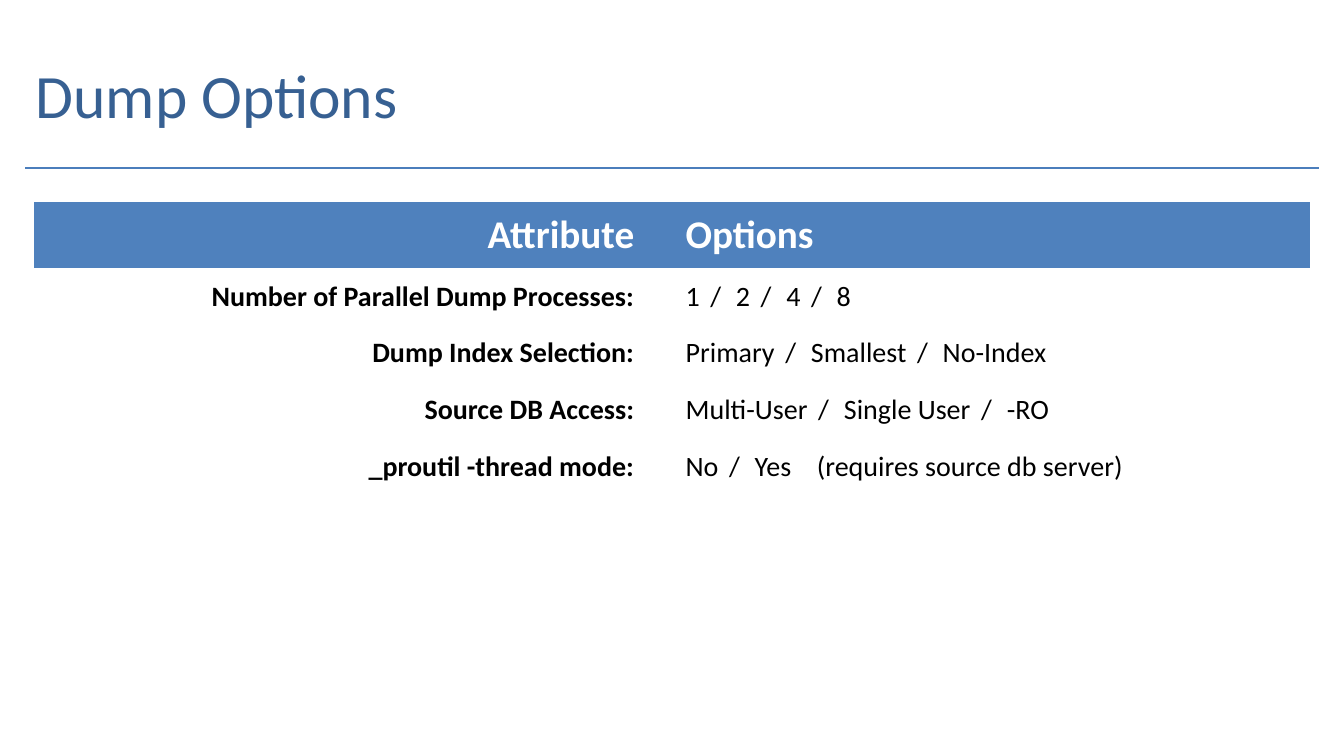
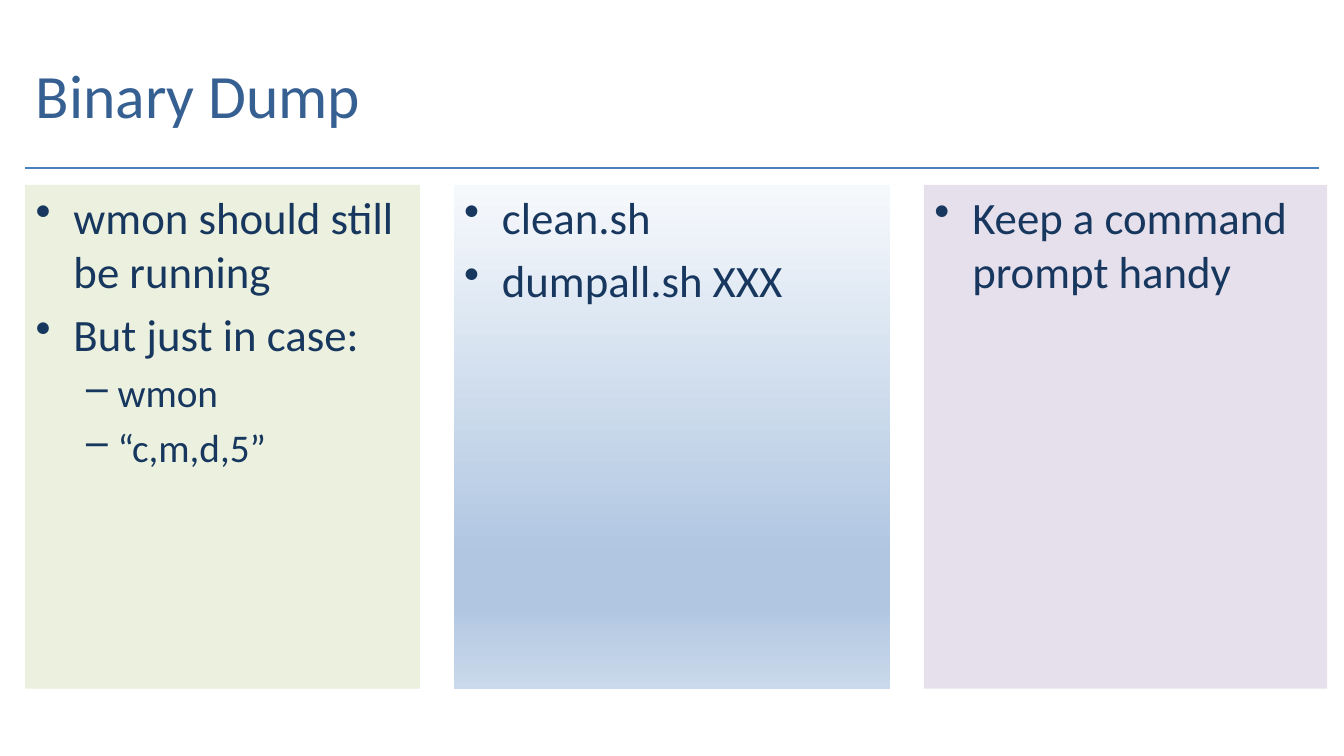
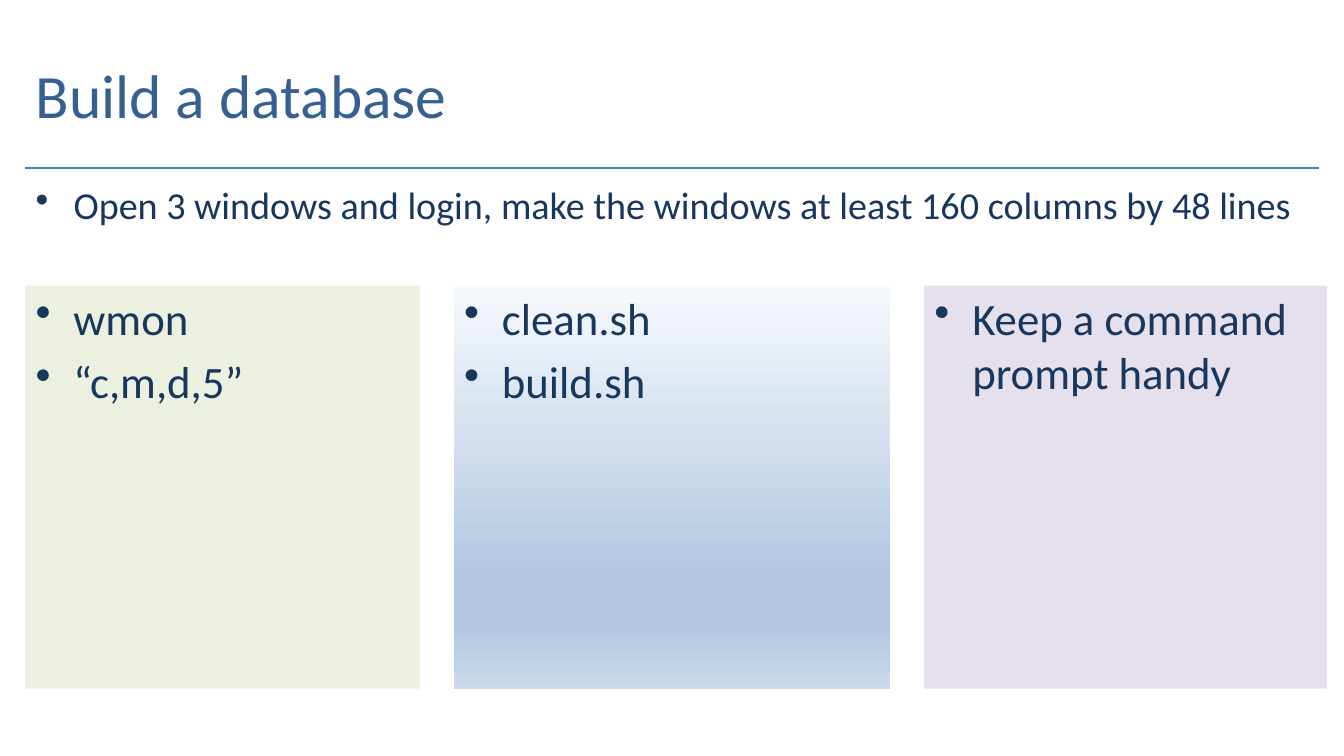
from lxml import etree
from pptx import Presentation
from pptx.dml.color import RGBColor
from pptx.enum.shapes import MSO_CONNECTOR, MSO_SHAPE
from pptx.enum.text import MSO_ANCHOR, MSO_AUTO_SIZE, PP_ALIGN
from pptx.oxml.ns import qn
from pptx.util import Emu, Pt

RECTANGLE, STRAIGHT = MSO_SHAPE.RECTANGLE, MSO_CONNECTOR.STRAIGHT
TOP, MIDDLE = MSO_ANCHOR.TOP, MSO_ANCHOR.MIDDLE
LEFT, RIGHT = PP_ALIGN.LEFT, PP_ALIGN.RIGHT
NO_AUTOFIT = MSO_AUTO_SIZE.NONE

EMU_PER_PX = 9525
TITLE_ONLY = 5
PLAIN_TABLE = "{2D5ABB26-0587-4C30-8999-92F81FD0307C}"

# Palette
TITLE_BLUE, TEXT_BLUE, RULE_BLUE, HEADER_BLUE = "376092", "17375E", "4B7EBC", "4F81BD"
WHITE, BLACK = "FFFFFF", "000000"
GREEN, PURPLE = "EBF1DE", "E6E0EC"
BLUE_FADE = [(0, "F6F9FC"), (74, "B0C6E1"), (83, "B0C6E1"), (100, "CAD9EB")]

# Window panels: left, width, fill
PANELS = [(24, 376, GREEN), (432, 416, BLUE_FADE), (880, 384, PURPLE)]
PANEL_BOTTOM = 656

# Bullet levels: sign, text indent, hanging indent
LEVELS = [("•", 36, -36), ("–", 78, -30)]


def px(length):
    return Emu(length * EMU_PER_PX)


def color(hex_code):
    return RGBColor.from_string(hex_code)


def apply(target, values):
    for name, value in values.items():
        setattr(target, name, value)


class Deck:
    font = "Calibri"
    frame_format = {
        "word_wrap": True, "auto_size": NO_AUTOFIT,
        "margin_left": px(10), "margin_right": px(10),
        "margin_top": px(5), "margin_bottom": px(5),
    }

    def __init__(self):
        self.prs = Presentation()
        apply(self.prs, {"slide_width": px(1280), "slide_height": px(720)})
        self.slide = None

    def start(self, title):
        """Add a slide with its title and the rule below it."""
        self.slide = self.prs.slides.add_slide(self.prs.slide_layouts[TITLE_ONLY])
        heading = self.slide.shapes.title
        apply(heading, {"left": px(24), "top": px(29),
                        "width": px(1128), "height": px(120)})
        apply(heading.text_frame, self.frame_format | {"vertical_anchor": MIDDLE})
        paragraph = heading.text_frame.paragraphs[0]
        paragraph.alignment = LEFT
        self.run(paragraph, title, 44, TITLE_BLUE)
        self.rule(24, 1256, 160)

    def rule(self, left, right, y):
        line = self.slide.shapes.add_connector(STRAIGHT, px(left), px(y), px(right), px(y))
        line.line.color.rgb = color(RULE_BLUE)
        line.line.width = Pt(1.5)
        etree.SubElement(line._element.spPr, qn("a:effectLst"))

    def run(self, paragraph, text, size, hex_code, bold=False, spacing=0):
        run = paragraph.add_run()
        run.text = text
        apply(run.font, {"name": self.font, "size": Pt(size), "bold": bold})
        run.font.color.rgb = color(hex_code)
        if spacing:
            run._r.get_or_add_rPr().set("spc", str(spacing * 100))

    def bullets(self, frame, items, sizes):
        """Write (level, text) items with hanging bullets."""
        apply(frame, self.frame_format | {"vertical_anchor": TOP})
        for index, (level, text) in enumerate(items):
            paragraph = frame.add_paragraph() if index else frame.paragraphs[0]
            sign, indent, hanging = LEVELS[level]
            apply(paragraph, {"level": level, "alignment": LEFT,
                              "space_before": Pt(sizes[level] * 0.2)})
            properties = paragraph._p.get_or_add_pPr()
            properties.set("marL", str(px(indent)))
            properties.set("indent", str(px(hanging)))
            etree.SubElement(properties, qn("a:buChar"), char=sign)
            self.run(paragraph, text, sizes[level], TEXT_BLUE)

    def note(self, left, top, width, height, text):
        box = self.slide.shapes.add_textbox(px(left), px(top), px(width), px(height))
        self.bullets(box.text_frame, [(0, text)], [27.2])

    def panel(self, left, top, width, height, fill, items):
        box = self.slide.shapes.add_shape(RECTANGLE, px(left), px(top), px(width), px(height))
        box.shadow.inherit = False
        box.line.fill.background()
        if isinstance(fill, str):
            box.fill.solid()
            box.fill.fore_color.rgb = color(fill)
        else:
            self.fade(box, fill)
        self.bullets(box.text_frame, items, [32, 28])

    def fade(self, box, stops):
        """Fill a shape from top to bottom with (percent, colour) stops."""
        box.fill.gradient()
        box.fill.gradient_angle = 270
        stop_list = box._element.spPr.find(".//" + qn("a:gsLst"))
        for stop in list(stop_list):
            stop_list.remove(stop)
        for percent, hex_code in stops:
            stop = etree.SubElement(stop_list, qn("a:gs"), pos=str(percent * 1000))
            etree.SubElement(stop, qn("a:srgbClr"), val=hex_code)

    def windows(self, top, contents):
        """Place the three window panels side by side."""
        for (left, width, fill), items in zip(PANELS, contents):
            self.panel(left, top, width, PANEL_BOTTOM - top, fill, items)

    def options_table(self, left, top, widths, heights, header, rows):
        table = self.slide.shapes.add_table(
            len(rows) + 1, len(widths), px(left), px(top),
            px(sum(widths)), px(sum(heights))).table
        table._tbl.tblPr.find(qn("a:tableStyleId")).text = PLAIN_TABLE
        apply(table, {"first_row": False, "horz_banding": False})
        for column, width in zip(table.columns, widths):
            column.width = px(width)
        for row, height in zip(table.rows, heights):
            row.height = px(height)

        for index, text in enumerate(header):
            paragraph = self.cell(table.cell(0, index), index, HEADER_BLUE)
            self.run(paragraph, text, 28, WHITE, bold=True)
        for index, (attribute, options, remark) in enumerate(rows, 1):
            paragraph = self.cell(table.cell(index, 0), 0)
            self.run(paragraph, attribute, 20, BLACK, bold=True)
            paragraph = self.cell(table.cell(index, 1), 1)
            self.options(paragraph, options, remark)

    def cell(self, cell, column, fill=None):
        """Format a cell and return its paragraph."""
        apply(cell, {"vertical_anchor": MIDDLE, "margin_left": px(48 if column else 1),
                     "margin_right": px(1), "margin_top": px(1), "margin_bottom": 0})
        if fill:
            cell.fill.solid()
            cell.fill.fore_color.rgb = color(fill)
        else:
            cell.fill.background()
        paragraph = cell.text_frame.paragraphs[0]
        paragraph.alignment = LEFT if column else RIGHT
        return paragraph

    def options(self, paragraph, options, remark):
        """Write choices with wide slashes, and a remark at a tab stop."""
        for index, option in enumerate(options):
            if index:
                self.run(paragraph, " / ", 20, BLACK, spacing=3)
            self.run(paragraph, option, 20, BLACK)
        if remark:
            tabs = etree.SubElement(paragraph._p.get_or_add_pPr(), qn("a:tabLst"))
            etree.SubElement(tabs, qn("a:tab"), pos=str(px(125)), algn="l")
            self.run(paragraph, "\t" + remark, 20, BLACK)


def main():
    deck = Deck()

    # Dump options
    deck.start("Dump Options")
    deck.options_table(
        32, 192, [573, 643], [63] + [54] * 4, ["Attribute", "Options"],
        [
            ("Number of Parallel Dump Processes:", ["1", "2", "4", "8"], ""),
            ("Dump Index Selection:", ["Primary", "Smallest", "No-Index"], ""),
            ("Source DB Access:", ["Multi-User", "Single User", "-RO"], ""),
            ("_proutil -thread mode:", ["No", "Yes"], "(requires source db server)"),
        ])

    prompt = [(0, "Keep a command prompt handy")]

    # Binary dump
    deck.start("Binary Dump")
    deck.windows(176, [
        [(0, "wmon should still be running"), (0, "But just in case:"),
         (1, "wmon"), (1, "“c,m,d,5”")],
        [(0, "clean.sh"), (0, "dumpall.sh XXX")],
        prompt,
    ])

    # Build a database
    deck.start("Build a database")
    deck.note(24, 168, 1232, 72,
              "Open 3 windows and login, make the windows at least 160 columns by 48 lines")
    deck.windows(272, [
        [(0, "wmon"), (0, "“c,m,d,5”")],
        [(0, "clean.sh"), (0, "build.sh")],
        prompt,
    ])

    deck.prs.save("out.pptx")


if __name__ == "__main__":
    main()
